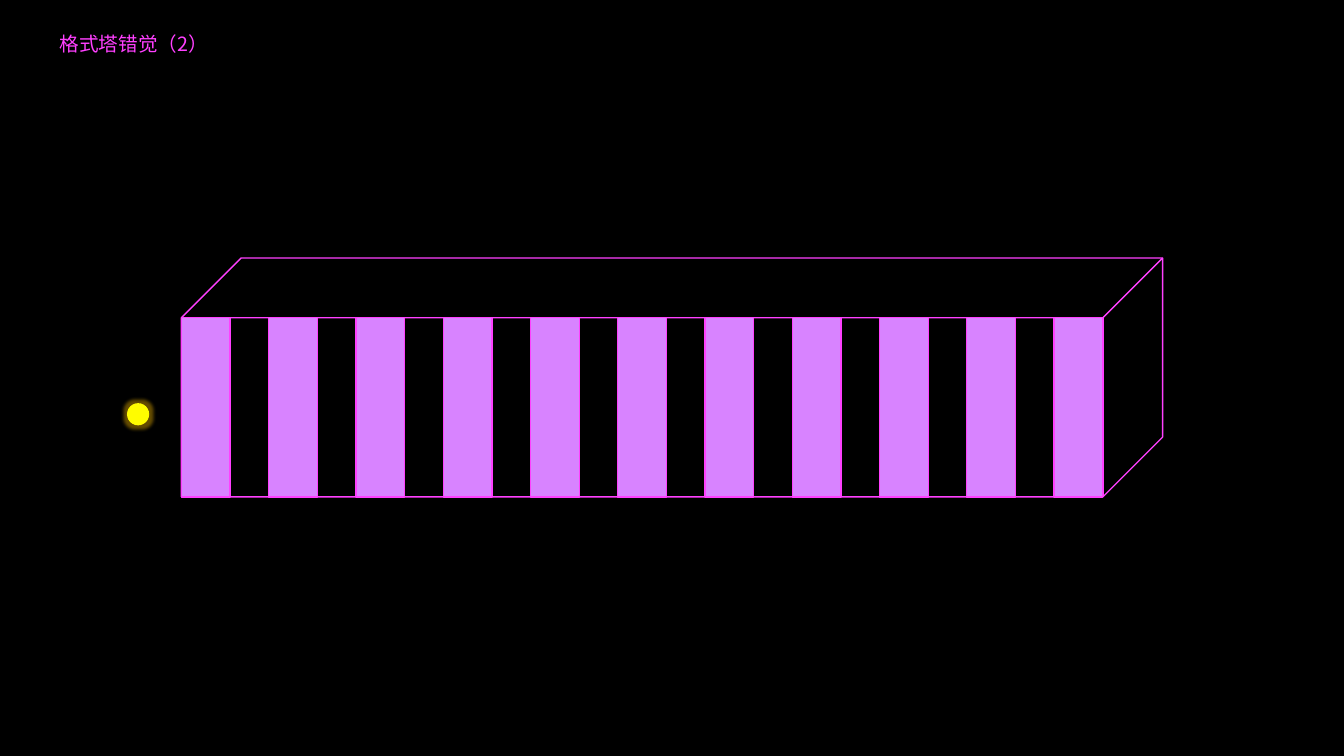
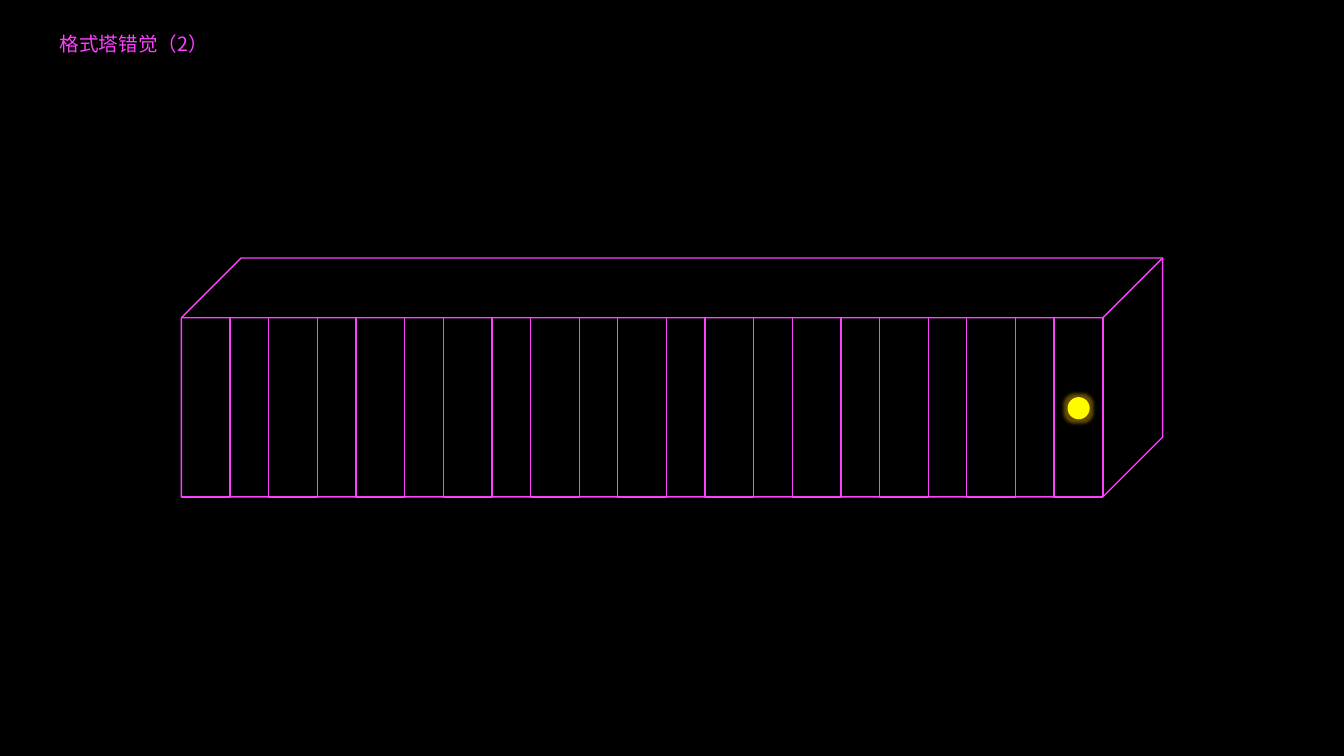
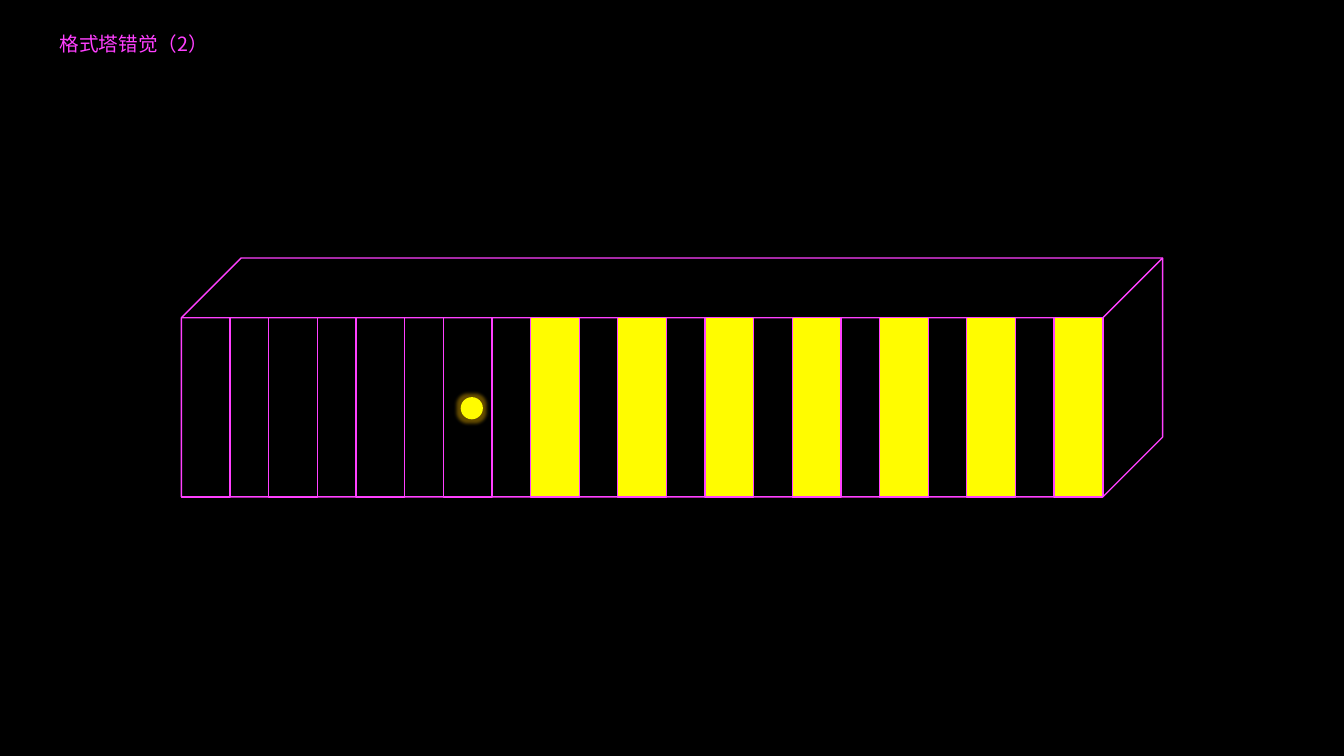
"""Build three stages of a light ball passing a striped cube."""
from lxml.etree import SubElement
from pptx import Presentation
from pptx.dml.color import RGBColor
from pptx.enum.shapes import MSO_SHAPE
from pptx.enum.text import MSO_ANCHOR, MSO_AUTO_SIZE, PP_ALIGN
from pptx.oxml.ns import qn
from pptx.util import Inches, Pt

BLACK = RGBColor(0x00, 0x00, 0x00)
MAGENTA = RGBColor(0xFF, 0x40, 0xFF)
VIOLET = RGBColor(0xD8, 0x83, 0xFF)
YELLOW = RGBColor(0xFF, 0xFC, 0x00)
AMBER = RGBColor(0xFF, 0xC0, 0x00)
FONT = "Noto Sans CJK SC"
TITLE = "格式塔错觉（2）"
BAR_COUNT = 11

deck = Presentation()
deck.slide_width, deck.slide_height = Inches(40 / 3), Inches(7.5)
column, row = deck.slide_width / 100, deck.slide_height / 100

cube_left, cube_top = 13.5 * column, 34.13 * row
cube_width, cube_height = 73 * column, 31.6 * row
depth = cube_height / 4
front_top, front_height = cube_top + depth, cube_height - depth
bar_width = 3.63 * column
bar_step = (cube_width - depth - bar_width) / (BAR_COUNT - 1)
ball_size = 1.65 * column


def add_figure(page, kind, left, top, width, height, fill=None, line=None):
    """Add a flat shape with an optional fill and outline."""
    figure = page.shapes.add_shape(kind, *map(round, (left, top, width, height)))
    figure.shadow.inherit = False
    if fill is None:
        figure.fill.background()
    else:
        figure.fill.solid()
        figure.fill.fore_color.rgb = fill
    if line is None:
        figure.line.fill.background()
    else:
        figure.line.color.rgb = line
        figure.line.width = Pt(1)
    return figure


background = deck.slide_master.background.fill
background.solid()
background.fore_color.rgb = BLACK

layout = deck.slide_layouts.get_by_name("Title Only")
heading = layout.placeholders[0]
heading.left, heading.top = round(3.68 * column), round(3.6 * row)
heading.width, heading.height = round(13.5 * column), round(4.53 * row)

scenes = [
    (VIOLET, 0, 9.45, 53.33),
    (None, 0, 79.43, 52.53),
    (YELLOW, 4, 34.28, 52.53),
]

for bar_color, first_lit, ball_column, ball_row in scenes:
    page = deck.slides.add_slide(layout)

    box = page.shapes.title.text_frame
    box.text = TITLE
    box.word_wrap = True
    box.auto_size = MSO_AUTO_SIZE.SHAPE_TO_FIT_TEXT
    box.vertical_anchor = MSO_ANCHOR.TOP
    para = box.paragraphs[0]
    para.alignment = PP_ALIGN.LEFT
    para.font.size = Pt(14)
    para.font.color.rgb = MAGENTA
    para.font.name = FONT
    span = para.runs[0]
    SubElement(span.font._element, qn("a:ea"), typeface=FONT)

    cube = add_figure(page, MSO_SHAPE.CUBE, cube_left, cube_top,
                      cube_width, cube_height, line=MAGENTA)
    cube.adjustments[0] = 0.25

    for index in range(BAR_COUNT):
        add_figure(page, MSO_SHAPE.RECTANGLE, cube_left + index * bar_step, front_top,
                   bar_width, front_height,
                   fill=bar_color if index >= first_lit else None, line=MAGENTA)

    ball = add_figure(page, MSO_SHAPE.OVAL, ball_column * column, ball_row * row,
                      ball_size, ball_size, fill=YELLOW)
    effects = ball._element.spPr.find(qn("a:effectLst"))
    glow = SubElement(effects, qn("a:glow"), rad=str(Pt(5)))
    glow_color = SubElement(glow, qn("a:srgbClr"), val=str(AMBER))
    SubElement(glow_color, qn("a:alpha"), val="40000")

deck.save("out.pptx")
